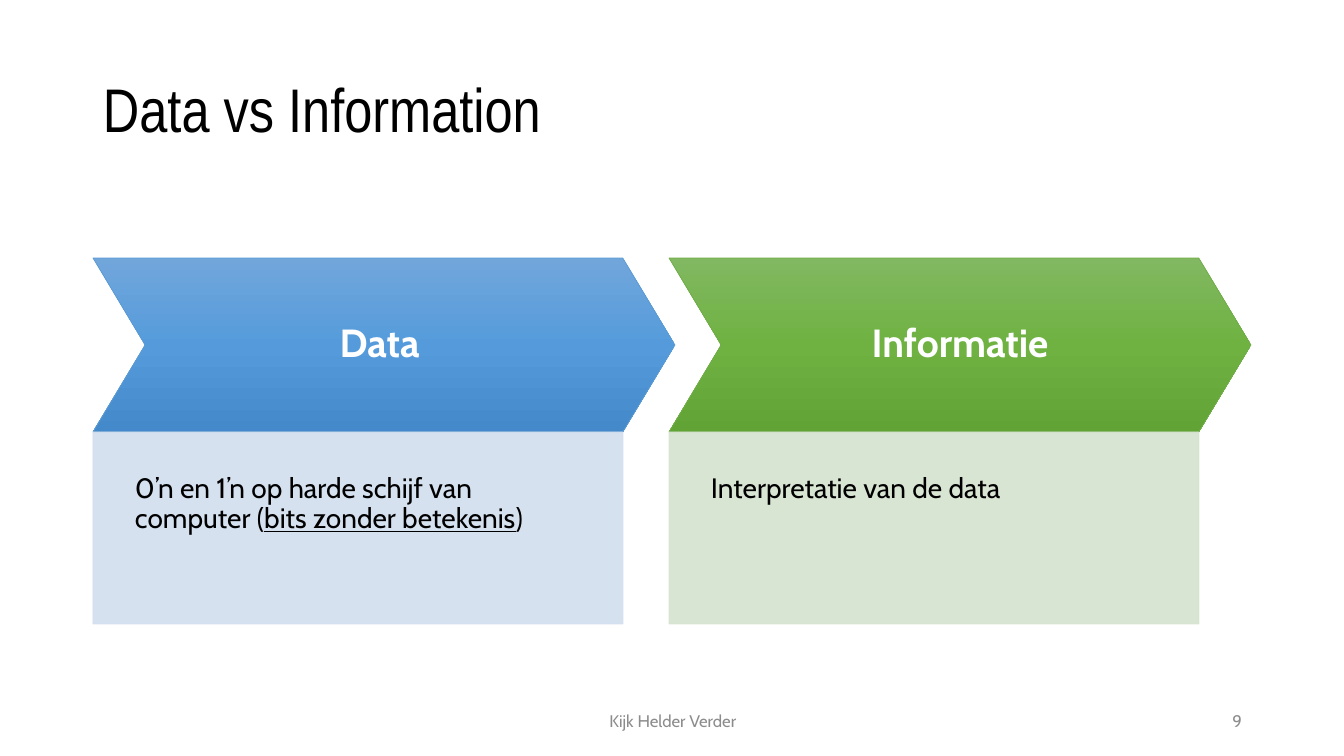
"""Build the slide that sets data against information."""
from copy import deepcopy
from dataclasses import dataclass

from lxml import etree
from pptx import Presentation
from pptx.dml.color import RGBColor
from pptx.enum.shapes import MSO_SHAPE
from pptx.enum.text import MSO_ANCHOR, PP_ALIGN
from pptx.oxml.ns import qn
from pptx.util import Pt

CHEVRON, RECTANGLE = MSO_SHAPE.CHEVRON, MSO_SHAPE.RECTANGLE
LEFT, CENTER, RIGHT = PP_ALIGN.LEFT, PP_ALIGN.CENTER, PP_ALIGN.RIGHT
TOP, MIDDLE = MSO_ANCHOR.TOP, MSO_ANCHOR.MIDDLE

TITLE = "Data vs Information"
FOOTER = "Kijk Helder Verder"
PAGE_NUMBER = "9"
COLUMNS = [
    {
        "heading": "Data ",
        "body": [
            ("0’n en 1’n op harde schijf van computer (", False),
            ("bits zonder betekenis", True),
            (")", False),
        ],
        "gradient": ("71A6DB", "559BDB", "448ACA"),
        "outline": "5B9BD5",
        "panel": "D2DEEF",
    },
    {
        "heading": "Informatie",
        "body": [("Interpretatie van de data", False)],
        "gradient": ("81B861", "6FB242", "62A336"),
        "outline": "70AD47",
        "panel": "D5E3CF",
    },
]


@dataclass(frozen=True)
class Theme:
    """Colours, fonts and type sizes of the slide."""
    title_font: str = "Arial Narrow"
    body_font: str = "Cabin"
    ink: str = "000000"
    light: str = "FFFFFF"
    muted: str = "8C8C8C"
    title_size: int = 44
    heading_size: int = 28
    body_size: int = 20
    footer_size: int = 12
    outline_width: float = 0.5
    panel_opacity: int = 90


THEME = Theme()
EMU_PER_PX = 914400 / 100.8
SLIDE_SIZE = (1344, 756)
TITLE_BOX = (93, 40, 1159, 146)
FOOTER_BOX = (446, 701, 454, 40)
NUMBER_BOX = (950, 701, 302, 40)
COLUMN_LEFT, COLUMN_TOP, COLUMN_STEP = 93, 258, 576
CHEVRON_WIDTH, CHEVRON_HEIGHT, CHEVRON_POINT = 582, 174, 0.3
PANEL_WIDTH, PANEL_HEIGHT = 530, 192
DEFAULT_INSETS = (10, 5, 10, 5)
HEADING_INSETS = (21, 21, 21, 21)
PANEL_INSETS = (42, 42, 42, 84)


def px(length):
    return round(length * EMU_PER_PX)


def box_emu(box):
    return [px(length) for length in box]


def write_text(shape, text, *, size, color, font=THEME.body_font, bold=False,
               align=LEFT, anchor=MIDDLE, insets=DEFAULT_INSETS, spacing=1.0):
    """Write a string, or (text, underlined) pairs, into a shape."""
    frame = shape.text_frame
    frame.word_wrap = True
    frame.vertical_anchor = anchor
    (frame.margin_left, frame.margin_top,
     frame.margin_right, frame.margin_bottom) = box_emu(insets)
    paragraph = frame.paragraphs[0]
    paragraph.alignment = align
    paragraph.line_spacing = spacing
    pieces = [(text, False)] if isinstance(text, str) else text
    for words, underlined in pieces:
        run = paragraph.add_run()
        run.text = words
        run.font.name = font
        run.font.size = Pt(size)
        run.font.bold = bold
        run.font.underline = underlined
        run.font.color.rgb = RGBColor.from_string(color)


def add_text(slide, box, text, **text_format):
    write_text(slide.shapes.add_textbox(*box_emu(box)), text, **text_format)


def add_outlined_shape(slide, kind, box, outline):
    shape = slide.shapes.add_shape(kind, *box_emu(box))
    shape.shadow.inherit = False
    shape.line.color.rgb = RGBColor.from_string(outline)
    shape.line.width = Pt(THEME.outline_width)
    return shape


def fill_gradient(shape, colors):
    """Fill a shape from top to bottom with evenly spaced colours."""
    shape.fill.gradient()
    shape.fill.gradient_angle = 270
    stop_list = shape._element.spPr.find(".//" + qn("a:gsLst"))
    while len(stop_list) < len(colors):
        stop_list.append(deepcopy(stop_list[0]))
    for index, (stop, color) in enumerate(zip(shape.fill.gradient_stops, colors)):
        stop.position = index / (len(colors) - 1)
        stop.color.rgb = RGBColor.from_string(color)


def set_opacity(shape, percent):
    for color in shape._element.spPr.iter(qn("a:srgbClr")):
        etree.SubElement(color, qn("a:alpha"), val=str(percent * 1000))


def add_column(slide, left, column):
    chevron = add_outlined_shape(
        slide, CHEVRON, (left, COLUMN_TOP, CHEVRON_WIDTH, CHEVRON_HEIGHT), column["outline"])
    chevron.adjustments[0] = CHEVRON_POINT
    fill_gradient(chevron, column["gradient"])
    write_text(chevron, column["heading"], size=THEME.heading_size, color=THEME.light,
               bold=True, align=CENTER, insets=HEADING_INSETS, spacing=0.9)

    panel_top = COLUMN_TOP + CHEVRON_HEIGHT
    panel = add_outlined_shape(
        slide, RECTANGLE, (left, panel_top, PANEL_WIDTH, PANEL_HEIGHT), column["panel"])
    panel.fill.solid()
    panel.fill.fore_color.rgb = RGBColor.from_string(column["panel"])
    set_opacity(panel, THEME.panel_opacity)
    write_text(panel, column["body"], size=THEME.body_size, color=THEME.ink,
               anchor=TOP, insets=PANEL_INSETS, spacing=0.9)


def main():
    presentation = Presentation()
    presentation.slide_width, presentation.slide_height = box_emu(SLIDE_SIZE)
    slide = presentation.slides.add_slide(presentation.slide_layouts[6])
    add_text(slide, TITLE_BOX, TITLE, size=THEME.title_size, color=THEME.ink,
             font=THEME.title_font, spacing=0.9)
    for index, column in enumerate(COLUMNS):
        add_column(slide, COLUMN_LEFT + index * COLUMN_STEP, column)
    for box, text, align in ((FOOTER_BOX, FOOTER, CENTER), (NUMBER_BOX, PAGE_NUMBER, RIGHT)):
        add_text(slide, box, text, size=THEME.footer_size, color=THEME.muted, align=align)
    presentation.save("out.pptx")


if __name__ == "__main__":
    main()
